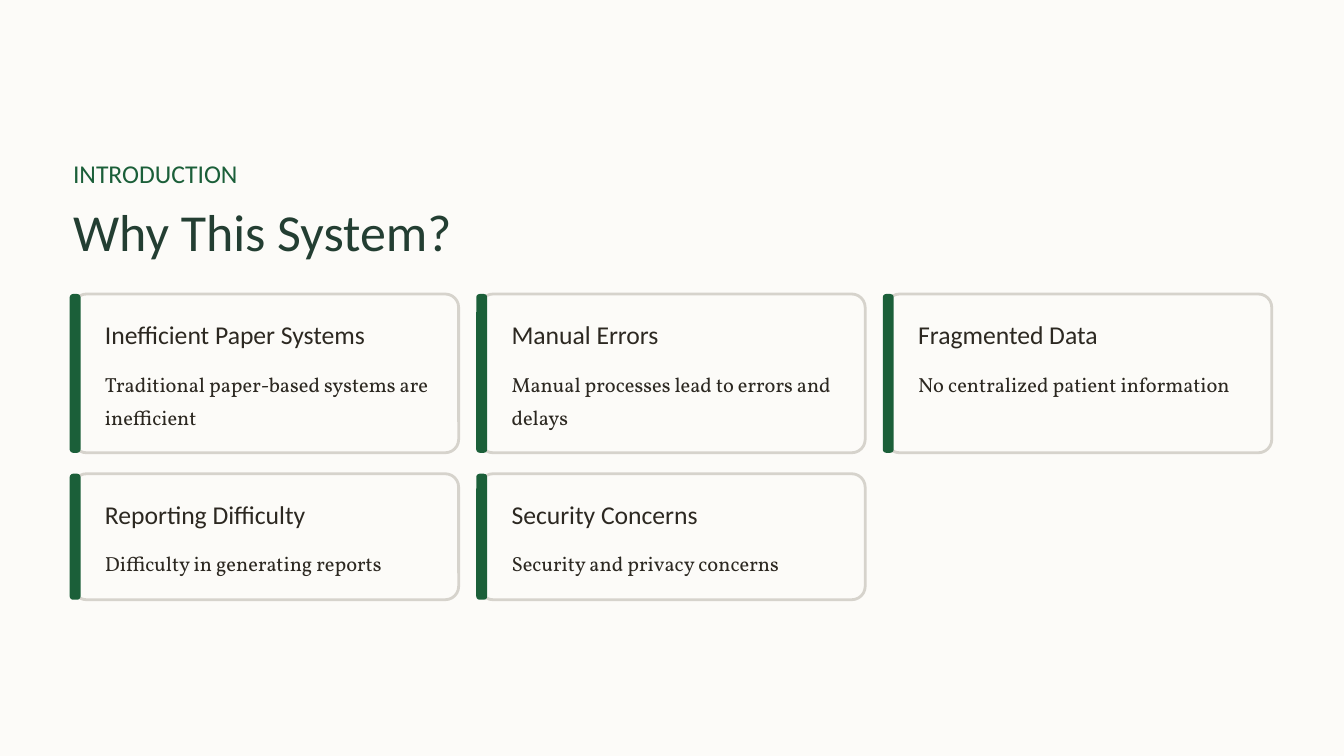
from dataclasses import dataclass

from pptx import Presentation
from pptx.dml.color import RGBColor
from pptx.enum.shapes import MSO_SHAPE
from pptx.enum.text import MSO_ANCHOR, MSO_AUTO_SIZE, PP_ALIGN
from pptx.util import Inches, Pt

EYEBROW = "INTRODUCTION"
TITLE = "Why This System?"
CARD_ROWS = [
    (1.89, [
        ("Inefficient Paper Systems", "Traditional paper-based systems are inefficient"),
        ("Manual Errors", "Manual processes lead to errors and delays"),
        ("Fragmented Data", "No centralized patient information"),
    ]),
    (1.5, [
        ("Reporting Difficulty", "Difficulty in generating reports"),
        ("Security Concerns", "Security and privacy concerns"),
    ]),
]
LEFT, CARDS_TOP = 0.87, 3.5
CARD_WIDTH, GAP = 4.59, 0.25
CARD_RADIUS = 0.16
ACCENT_WIDTH, ACCENT_OFFSET, ACCENT_RADIUS = 0.13, 0.04, 0.04
TEXT_INDENT, TEXT_WIDTH = 0.38, 3.93
HEADING_OFFSET, BODY_OFFSET, BODY_MARGIN = 0.28, 0.82, 1.1


@dataclass(frozen=True)
class Theme:
    """Colours, fonts and type sizes of the slide."""

    paper: str = "FCFBF8"
    border: str = "D6D3CC"
    accent: str = "1B5F39"
    title: str = "233E32"
    ink: str = "2C2821"
    sans: str = "Calibri"
    serif: str = "Vollkorn"
    title_size: float = 44.5
    heading_size: float = 22
    body_size: float = 17.5
    title_leading: float = 55.5
    heading_leading: float = 27.5
    body_leading: float = 28.5
    border_width: float = 2.4


THEME = Theme()


def place(box, left, top, width, height):
    """Move and size a box, in inches."""
    box.left, box.top = Inches(left), Inches(top)
    box.width, box.height = Inches(width), Inches(height)


def write(box, text, *, size, leading, color, font=THEME.sans):
    """Fill a box with one formatted paragraph."""
    frame = box.text_frame
    frame.margin_left = frame.margin_right = frame.margin_top = frame.margin_bottom = 0
    frame.word_wrap = True
    frame.auto_size = MSO_AUTO_SIZE.NONE
    frame.vertical_anchor = MSO_ANCHOR.TOP
    para = frame.paragraphs[0]
    para.alignment = PP_ALIGN.LEFT
    para.line_spacing = Pt(leading)
    span = para.add_run()
    span.text = text
    span.font.name = font
    span.font.size = Pt(size)
    span.font.color.rgb = RGBColor.from_string(color)


def add_text(page, left, top, width, height, text, **style):
    """Add a text box."""
    box = page.shapes.add_textbox(0, 0, 0, 0)
    place(box, left, top, width, height)
    write(box, text, **style)


def add_panel(page, left, top, width, height, radius, fill, border=None):
    """Add a rounded rectangle with a corner radius in inches."""
    panel = page.shapes.add_shape(MSO_SHAPE.ROUNDED_RECTANGLE, 0, 0, 0, 0)
    place(panel, left, top, width, height)
    panel.adjustments[0] = radius / min(width, height)
    panel.shadow.inherit = False
    panel.fill.solid()
    panel.fill.fore_color.rgb = RGBColor.from_string(fill)
    if border:
        panel.line.color.rgb = RGBColor.from_string(border)
        panel.line.width = Pt(THEME.border_width)
    else:
        panel.line.fill.background()


def add_card(page, left, top, height, heading, body):
    """Add a card with an accent bar, a heading and a body."""
    add_panel(page, left, top, CARD_WIDTH, height, CARD_RADIUS, THEME.paper, THEME.border)
    add_panel(page, left - ACCENT_OFFSET, top, ACCENT_WIDTH, height, ACCENT_RADIUS, THEME.accent)
    text_left = left + TEXT_INDENT
    add_text(page, text_left, top + HEADING_OFFSET, TEXT_WIDTH, 0.39, heading,
             size=THEME.heading_size, leading=THEME.heading_leading, color=THEME.ink)
    add_text(page, text_left, top + BODY_OFFSET, TEXT_WIDTH, height - BODY_MARGIN, body,
             size=THEME.body_size, leading=THEME.body_leading, color=THEME.ink, font=THEME.serif)


def main():
    """Build and save the slide."""
    deck = Presentation()
    deck.slide_width, deck.slide_height = Inches(16), Inches(9)
    page = deck.slides.add_slide(deck.slide_layouts[5])
    page.background.fill.solid()
    page.background.fill.fore_color.rgb = RGBColor.from_string(THEME.paper)

    add_text(page, LEFT, 1.86, 3.1, 0.39, EYEBROW, size=THEME.heading_size,
             leading=THEME.heading_leading, color=THEME.accent)
    title = page.shapes.title
    place(title, LEFT, 2.35, 6.2, 0.78)
    write(title, TITLE, size=THEME.title_size, leading=THEME.title_leading, color=THEME.title)

    top = CARDS_TOP
    for height, cards in CARD_ROWS:
        for column, (heading, body) in enumerate(cards):
            add_card(page, LEFT + column * (CARD_WIDTH + GAP), top, height, heading, body)
        top += height + GAP
    deck.save("out.pptx")


if __name__ == "__main__":
    main()
